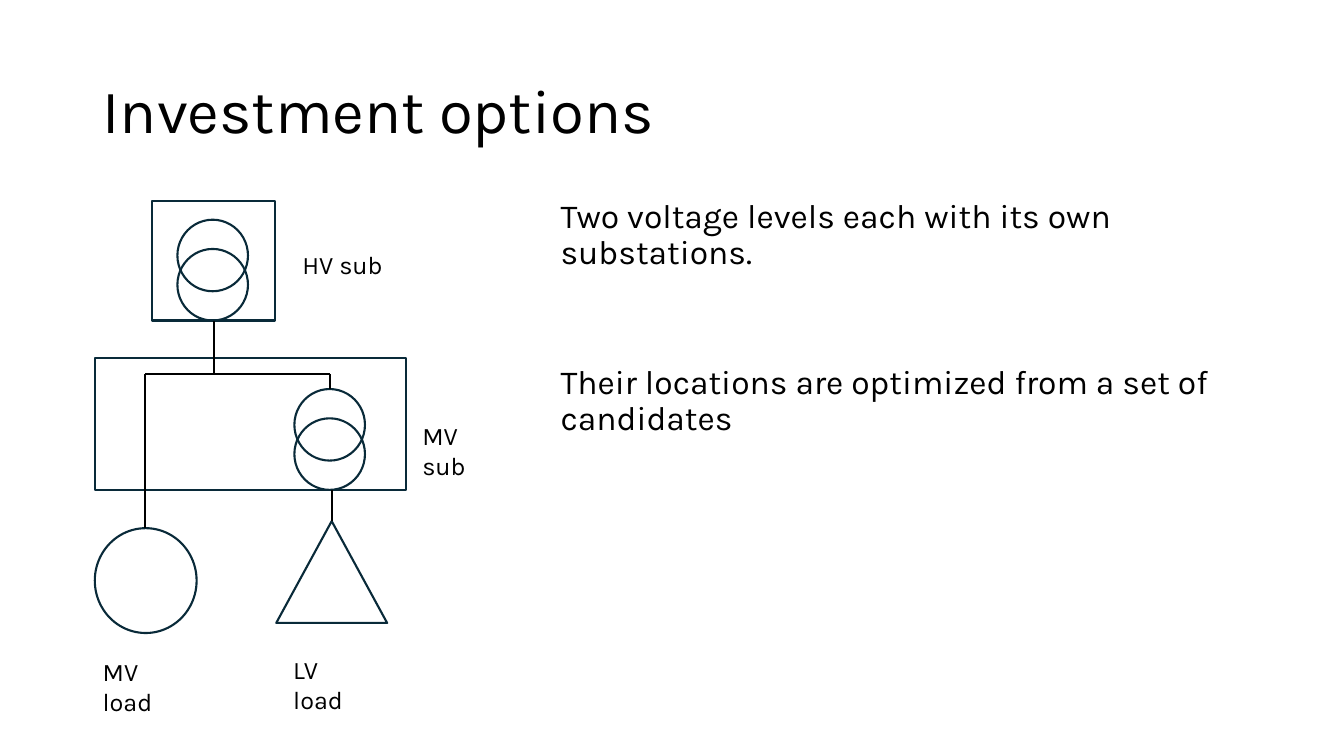
from dataclasses import dataclass

from lxml.etree import SubElement
from pptx import Presentation
from pptx.dml.color import RGBColor
from pptx.enum.shapes import MSO_CONNECTOR as CONN, MSO_SHAPE as SHAPE
from pptx.enum.text import MSO_ANCHOR as ANCHOR
from pptx.oxml.ns import qn
from pptx.slide import Slide
from pptx.util import Inches, Pt

COLORS = {"outline": "092A39", "wire": "000000", "text": "000000"}
FONT = "Karla"
LINE_WIDTH = 1.5


@dataclass
class Symbol:
    kind: SHAPE
    x: float
    y: float
    w: float
    h: float


@dataclass
class Wire:
    x1: float
    y1: float
    x2: float
    y2: float


@dataclass
class TextBlock:
    paragraphs: list[str]
    x: float
    y: float
    w: float
    h: float
    size: float = 18
    anchor: ANCHOR = ANCHOR.TOP
    left_inset: float = 0.1
    right_inset: float = 0.1
    spacing: float = 1.0
    gap: float = 0


def transformer(x: float, y: float) -> list[Symbol]:
    """Two overlapping windings, one below the other."""
    return [Symbol(SHAPE.OVAL, x, y + dy, 0.7, 0.71) for dy in (0, 0.29)]


def draw_symbol(s: Slide, item: Symbol) -> None:
    sp = s.shapes.add_shape(item.kind, Inches(item.x), Inches(item.y),
                            Inches(item.w), Inches(item.h))
    sp.shadow.inherit = False
    sp.fill.background()
    sp.line.color.rgb = RGBColor.from_string(COLORS["outline"])
    sp.line.width = Pt(LINE_WIDTH)


def draw_wire(s: Slide, item: Wire) -> None:
    cx = s.shapes.add_connector(CONN.STRAIGHT, Inches(item.x1), Inches(item.y1),
                                Inches(item.x2), Inches(item.y2))
    cx.line.color.rgb = RGBColor.from_string(COLORS["wire"])
    cx.line.width = Pt(LINE_WIDTH)
    SubElement(cx._element.spPr, qn("a:effectLst"))


def draw_text(s: Slide, item: TextBlock) -> None:
    tf = s.shapes.add_textbox(Inches(item.x), Inches(item.y),
                              Inches(item.w), Inches(item.h)).text_frame
    tf.word_wrap = True
    tf.vertical_anchor = item.anchor
    tf.margin_left = Inches(item.left_inset)
    tf.margin_right = Inches(item.right_inset)
    for i, text in enumerate(item.paragraphs):
        p = tf.add_paragraph() if i else tf.paragraphs[0]
        p.line_spacing = item.spacing
        if i:
            p.space_before = Pt(item.gap)
        r = p.add_run()
        r.text = text
        r.font.name = FONT
        r.font.size = Pt(item.size)
        r.font.color.rgb = RGBColor.from_string(COLORS["text"])


# Substations and loads
SYMBOLS = [
    Symbol(SHAPE.RECTANGLE, 1.51, 1.99, 1.22, 1.19),
    *transformer(1.76, 2.18),
    *transformer(2.92, 3.86),
    Symbol(SHAPE.RECTANGLE, 0.94, 3.55, 3.09, 1.31),
    Symbol(SHAPE.OVAL, 0.94, 5.24, 1.01, 1.04),
    Symbol(SHAPE.ISOSCELES_TRIANGLE, 2.74, 5.17, 1.1, 1.01),
]

# Wires around the medium-voltage busbar
BUS_Y, BUS_LEFT, BUS_RIGHT = 3.71, 1.44, 3.27
WIRES = [
    Wire(2.12, 3.18, 2.12, BUS_Y),
    Wire(BUS_LEFT, BUS_Y, BUS_RIGHT, BUS_Y),
    Wire(BUS_RIGHT, BUS_Y, BUS_RIGHT, 3.86),
    Wire(BUS_LEFT, BUS_Y, BUS_LEFT, 5.24),
    Wire(3.29, 4.86, 3.29, 5.17),
]

# Title, diagram labels and body
TEXTS = [
    TextBlock(["Investment options"], 0.92, 0.4, 11.5, 1.45, size=44,
              anchor=ANCHOR.MIDDLE, spacing=0.9),
    TextBlock(["HV sub"], 2.9, 2.42, 1.17, 0.4),
    TextBlock(["MV sub"], 4.09, 4.12, 1, 0.4, right_inset=0.25),
    TextBlock(["MV load"], 0.92, 6.46, 1.08, 0.4, right_inset=0.25),
    TextBlock(["LV load"], 2.81, 6.44, 0.99, 0.4, right_inset=0.25),
    TextBlock(["Two voltage levels each with its own substations.",
               "Their locations are optimized from a set of candidates"],
              4.96, 1.93, 8.13, 4.76, size=24, left_inset=0.6,
              spacing=0.9, gap=66.5),
]


def main() -> None:
    prs = Presentation()
    prs.slide_width, prs.slide_height = Inches(13.33), Inches(7.5)
    s = prs.slides.add_slide(prs.slide_layouts[6])
    for symbol in SYMBOLS:
        draw_symbol(s, symbol)
    for wire in WIRES:
        draw_wire(s, wire)
    for block in TEXTS:
        draw_text(s, block)
    prs.save("out.pptx")


if __name__ == "__main__":
    main()
